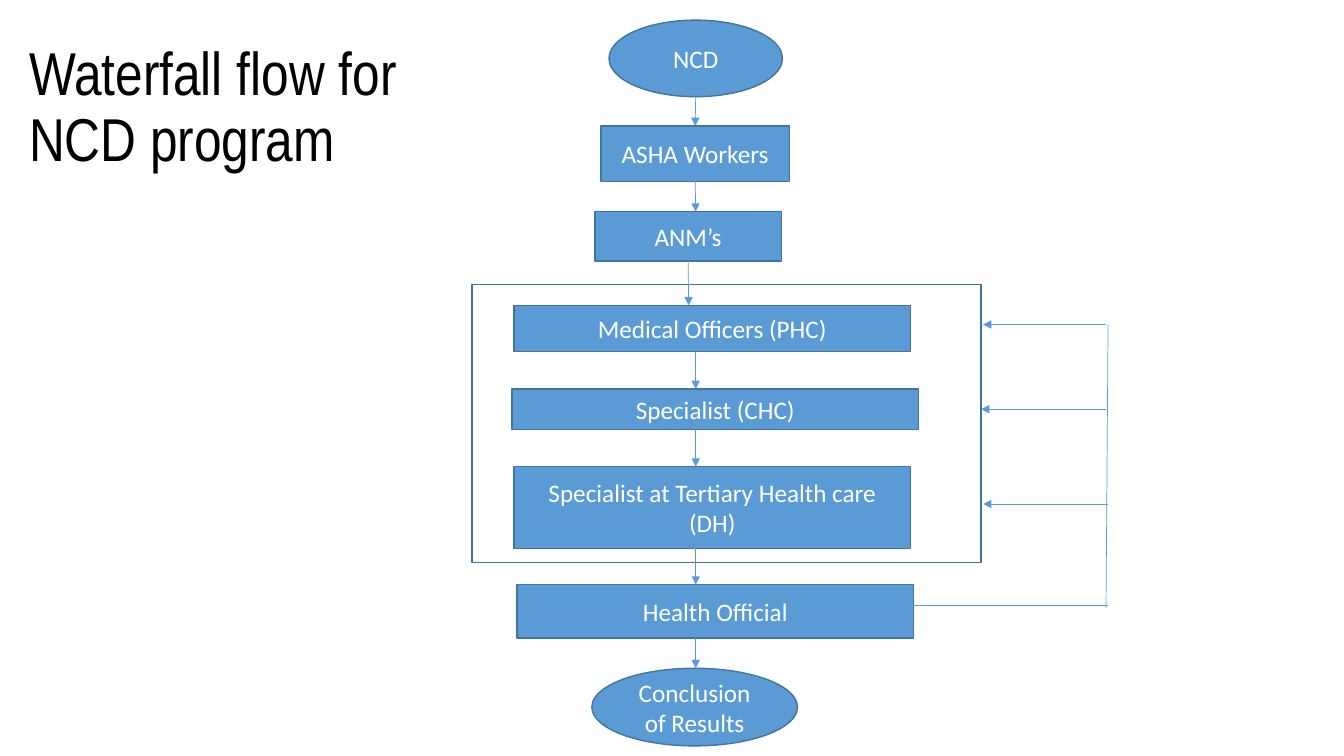
from lxml import etree
from pptx import Presentation
from pptx import util as u
from pptx.dml.color import RGBColor
from pptx.enum import shapes, text
from pptx.oxml.ns import qn

COLORS = {"fill": "5B9BD5", "edge": "43739E", "label": "FFFFFF", "title": "000000"}
RECT = shapes.MSO_SHAPE.RECTANGLE
OVAL = shapes.MSO_SHAPE.OVAL
TOP, BOTTOM = 0, 2


class FlowSlide:
    def __init__(self, prs):
        self.s = prs.slides.add_slide(prs.slide_layouts[6])

    def color(self, name):
        return RGBColor.from_string(COLORS[name])

    def set_text(self, sp, words, size, font, color, align):
        tf = sp.text_frame
        tf.word_wrap = True
        tf.vertical_anchor = text.MSO_ANCHOR.MIDDLE
        tf.text = words
        p = tf.paragraphs[0]
        p.alignment = align
        r = p.runs[0]
        r.font.size = u.Pt(size)
        r.font.name = font
        r.font.color.rgb = self.color(color)
        return p

    def title(self, words, box):
        sp = self.s.shapes.add_textbox(*map(u.Inches, box))
        p = self.set_text(sp, words, 43.2, "Arial Narrow", "title", text.PP_ALIGN.LEFT)
        p.line_spacing = 0.9

    def shape(self, kind, box, words=None):
        """Add a filled, labelled step, or a hollow frame when there are no words."""
        sp = self.s.shapes.add_shape(kind, *map(u.Inches, box))
        sp.shadow.inherit = False
        sp.line.color.rgb = self.color("edge")
        sp.line.width = u.Pt(1)
        if words is None:
            sp.fill.background()
        else:
            sp.fill.solid()
            sp.fill.fore_color.rgb = self.color("fill")
            self.set_text(sp, words, 18, "Calibri", "label", text.PP_ALIGN.CENTER)
        return sp

    def line(self, start, end, arrow=True):
        c = self.s.shapes.add_connector(
            shapes.MSO_CONNECTOR.STRAIGHT, *map(u.Inches, (*start, *end)))
        c.line.color.rgb = self.color("fill")
        c.line.width = u.Pt(0.5)
        props = c._element.spPr
        if arrow:
            etree.SubElement(props.find(qn("a:ln")), qn("a:tailEnd"), type="triangle")
        etree.SubElement(props, qn("a:effectLst"))
        return c


def main():
    prs = Presentation()
    prs.slide_width, prs.slide_height = u.Inches(13.33), u.Inches(7.5)
    flow = FlowSlide(prs)

    flow.shape(RECT, (4.68, 2.82, 5.05, 2.76))
    flow.title("Waterfall flow for NCD program", (0.19, 0.44, 4.42, 1.28))

    steps = [
        (OVAL, (6.04, 0.2, 1.72, 0.76), "NCD"),
        (RECT, (5.96, 1.25, 1.87, 0.55), "ASHA Workers"),
        (RECT, (5.9, 2.1, 1.85, 0.49), "ANM’s"),
        (RECT, (5.1, 3.03, 3.93, 0.46), "Medical Officers (PHC)"),
        (RECT, (5.08, 3.86, 4.03, 0.4), "Specialist (CHC)"),
        (RECT, (5.1, 4.63, 3.93, 0.81), "Specialist at Tertiary Health care (DH)"),
        (RECT, (5.13, 5.8, 3.93, 0.53), "Health Official"),
        (OVAL, (5.87, 6.63, 2.04, 0.77), "Conclusion of Results"),
    ]
    placed = [flow.shape(*step) for step in steps]

    for i, ((_, upper, _), (_, lower, _)) in enumerate(zip(steps, steps[1:])):
        x = 6.83 if steps[i][2] == "ANM’s" else 6.9
        c = flow.line((x, upper[1] + upper[3]), (x, lower[1]))
        # Join only where the arrow meets the middle of a rectangle's side
        for (kind, box, _), sp, join, side in (
                (steps[i], placed[i], c.begin_connect, BOTTOM),
                (steps[i + 1], placed[i + 1], c.end_connect, TOP)):
            if kind == RECT and abs(box[0] + box[2] / 2 - x) < 0.02:
                join(sp, side)

    # Feedback from the health official to the three care levels
    flow.line((10.99, 3.22), (10.97, 6.03), arrow=False)
    flow.line((9.04, 6.01), (10.99, 6.01), arrow=False)
    for start, end, y in ((10.97, 9.75, 3.22), (10.97, 9.73, 4.06), (10.99, 9.75, 5)):
        flow.line((start, y), (end, y))

    prs.save("out.pptx")


if __name__ == "__main__":
    main()
